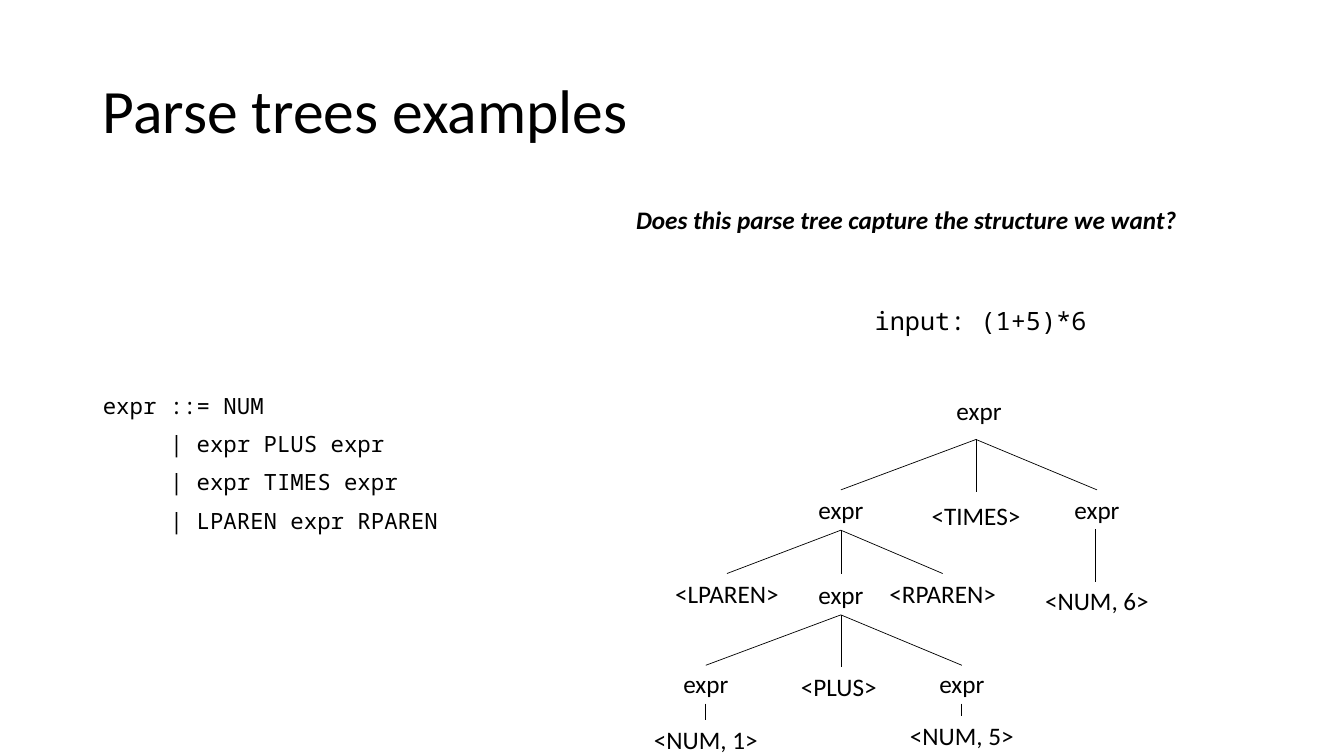
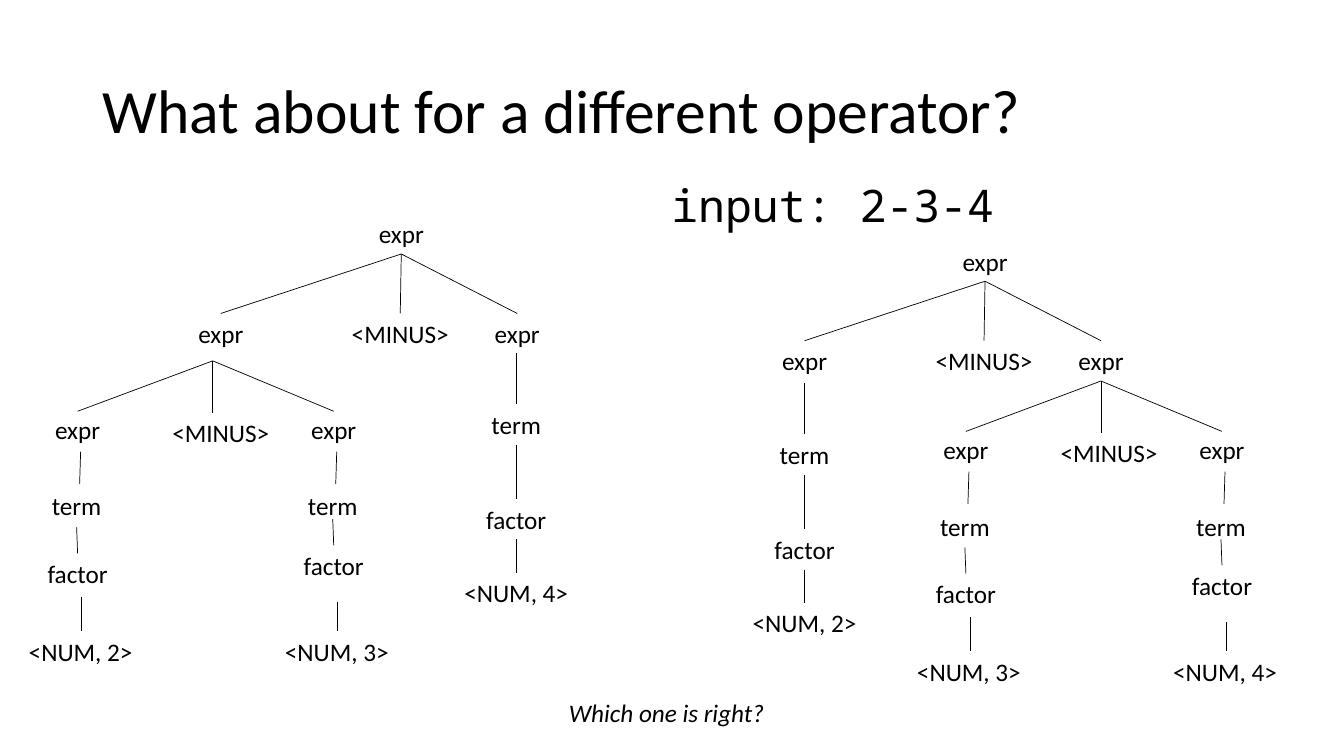
import collections

import lxml.etree
import pptx
import pptx.dml.color
import pptx.enum.shapes
import pptx.enum.text
import pptx.oxml.ns
import pptx.util

Inches = pptx.util.Inches
Pt = pptx.util.Pt

BLACK = pptx.dml.color.RGBColor(0x00, 0x00, 0x00)
WHITE = pptx.dml.color.RGBColor(0xFF, 0xFF, 0xFF)
TEXT_FONT = "Calibri"
CODE_FONT = "Noto Sans Mono"
TITLE_BOX = (0.92, 0.4, 11.5, 1.45)
LABEL_HEIGHT = 0.4
NUMBER_WIDTH = 1.24
LABEL_WIDTHS = {
    "expr": 0.65, "term": 0.7, "factor": 0.8, "<PLUS>": 0.96,
    "<TIMES>": 1.09, "<MINUS>": 1.17, "<RPAREN>": 1.27,
}
GRAMMAR = (
    "expr ::= NUM",
    "     | expr PLUS expr",
    "     | expr TIMES expr",
    "     | LPAREN expr RPAREN",
)

Child = collections.namedtuple(
    "Child", "text edge_x edge_y label_x label_y")


def style_font(paragraph, size, name=TEXT_FONT, bold=False, italic=False):
    font = paragraph.font
    font.name = name
    font.size = Pt(size)
    font.bold = bold
    font.italic = italic
    font.color.rgb = BLACK


def place(shape, left, top, width, height):
    shape.left, shape.top = Inches(left), Inches(top)
    shape.width, shape.height = Inches(width), Inches(height)


def add_titled_slide(presentation, layout_index, title_text):
    layout = presentation.slide_layouts[layout_index]
    slide = presentation.slides.add_slide(layout)
    slide.background.fill.solid()
    slide.background.fill.fore_color.rgb = WHITE
    title = slide.shapes.title
    place(title, *TITLE_BOX)
    frame = title.text_frame
    frame.text = title_text
    frame.vertical_anchor = pptx.enum.text.MSO_ANCHOR.MIDDLE
    frame.auto_size = pptx.enum.text.MSO_AUTO_SIZE.NONE
    paragraph = frame.paragraphs[0]
    paragraph.alignment = pptx.enum.text.PP_ALIGN.LEFT
    paragraph.line_spacing = 0.9
    style_font(paragraph, 44)
    return slide


def add_text(slide, text, left, top, width, height=LABEL_HEIGHT,
             size=18, **font_style):
    shape = slide.shapes.add_textbox(
        Inches(left), Inches(top), Inches(width), Inches(height))
    frame = shape.text_frame
    frame.word_wrap = False
    frame.text = text
    paragraph = frame.paragraphs[0]
    paragraph.alignment = pptx.enum.text.PP_ALIGN.CENTER
    style_font(paragraph, size, **font_style)


def add_node(slide, text, center, top):
    width = LABEL_WIDTHS.get(text, NUMBER_WIDTH)
    add_text(slide, text, center - width / 2, top, width)


def add_edge(slide, start_x, start_y, end_x, end_y):
    edge = slide.shapes.add_connector(
        pptx.enum.shapes.MSO_CONNECTOR.STRAIGHT,
        Inches(start_x), Inches(start_y), Inches(end_x), Inches(end_y))
    edge.line.color.rgb = BLACK
    edge.line.width = Pt(0.5)
    properties = edge._element.spPr
    lxml.etree.SubElement(properties, pptx.oxml.ns.qn("a:effectLst"))


def add_fan(slide, left, top, children):
    for child in children:
        add_edge(slide, left, top, left + child.edge_x, top + child.edge_y)
        add_node(slide, child.text, left + child.label_x, top + child.label_y)


def operator_fan(operator, operator_x=0, operator_y=0.51, expression_y=0.48):
    return (
        Child("expr", -1.34, 0.5, -1.34, expression_y),
        Child(operator, 0, 0.52, operator_x, operator_y),
        Child("expr", 1.2, 0.5, 1.2, expression_y),
    )


def add_grammar(slide, left, top, width, height):
    body = slide.placeholders[1]
    place(body, left, top, width, height)
    frame = body.text_frame
    frame.text = "\n".join(GRAMMAR)
    frame.auto_size = pptx.enum.text.MSO_AUTO_SIZE.NONE
    for index, paragraph in enumerate(frame.paragraphs):
        properties = paragraph._p.get_or_add_pPr()
        properties.set("marL", "0")
        properties.set("indent", "0")
        lxml.etree.SubElement(properties, pptx.oxml.ns.qn("a:buNone"))
        paragraph.line_spacing = 0.9
        paragraph.space_before = Pt(10 if index else 0)
        style_font(paragraph, 16, CODE_FONT)


def add_product_tree(slide, left, top):
    add_node(slide, "expr", left + 0.03, top)
    add_fan(slide, left, top + 0.49,
            operator_fan("<TIMES>", operator_y=0.55, expression_y=0.5))
    add_edge(slide, left + 1.18, top + 1.38, left + 1.18, top + 1.9)
    add_node(slide, "<NUM, 6>", left + 1.2, top + 1.89)

    inner = left - 1.34
    add_fan(slide, inner, top + 1.39, (
        Child("<LPAREN>", -1.13, 0.43, -1.13, 0.43),
        Child("expr", 0, 0.43, 0, 0.44),
        Child("<RPAREN>", 1.01, 0.43, 1.01, 0.43),
    ))
    add_fan(slide, inner, top + 2.23, operator_fan("<PLUS>", -0.02))
    for number, offset, leaf_top in (("1", -1.34, 3.27), ("5", 1.2, 3.23)):
        center = inner + offset
        add_edge(slide, center, top + 3.11, center, top + leaf_top)
        add_node(slide, f"<NUM, {number}>", center, top + leaf_top)


def add_long_chain(slide, center, top, number):
    for text, start, end in (("term", 0, 0.51), ("factor", 0.91, 1.45),
                             (f"<NUM, {number}>", 1.85, 2.18)):
        add_edge(slide, center, top + start, center, top + end)
        add_node(slide, text, center, top + end)


def add_short_chain(slide, center, top, number, factor_top, stem_top):
    add_edge(slide, center + 0.03, top + 0.42, center + 0.02, top + 0.74)
    add_node(slide, "term", center - 0.01, top + 0.76)
    add_edge(slide, center - 0.01, top + factor_top - 0.26,
             center, top + factor_top)
    add_node(slide, "factor", center, top + factor_top)
    add_edge(slide, center + 0.04, top + stem_top, center + 0.04, top + 2.2)
    add_node(slide, f"<NUM, {number}>", center + 0.03, top + 2.2)


def add_difference_root(slide, left, top):
    add_node(slide, "expr", left, top)
    add_fan(slide, left, top + 0.4, (
        Child("expr", -1.79, 0.59, -1.79, 0.59),
        Child("<MINUS>", -0.01, 0.59, -0.01, 0.59),
        Child("expr", 1.15, 0.59, 1.15, 0.59),
    ))


def add_difference_subtree(slide, left, top, first, second):
    add_fan(slide, left, top, operator_fan("<MINUS>", 0.08))
    add_short_chain(slide, left - 1.34, top + 0.48, first, 1.43, 1.86)
    add_short_chain(slide, left + 1.2, top + 0.48, second, 1.35, 1.91)


def add_left_associative_tree(slide, left, top):
    add_difference_root(slide, left, top)
    add_difference_subtree(slide, left - 1.87, top + 1.46, "2", "3")
    add_long_chain(slide, left + 1.14, top + 1.38, "4")


def add_right_associative_tree(slide, left, top):
    add_difference_root(slide, left, top)
    add_long_chain(slide, left - 1.79, top + 1.41, "2")
    add_difference_subtree(slide, left + 1.15, top + 1.39, "3", "4")


def build_parse_tree_slide(presentation):
    slide = add_titled_slide(presentation, 1, "Parse trees examples")
    add_grammar(slide, 0.92, 3.87, 4.12, 1.73)
    add_text(slide, "Does this parse tree capture the structure we want?",
             6.18, 1.98, 5.62, bold=True, italic=True)
    add_text(slide, "input: (1+5)*6", 8.57, 2.98, 2.31, name=CODE_FONT)
    add_product_tree(slide, 9.68, 3.87)


def build_operator_slide(presentation):
    slide = add_titled_slide(
        presentation, 5, "What about for a different operator?")
    add_text(slide, "input: 2-3-4", 6.54, 1.71, 3.44, 0.64,
             size=32, name=CODE_FONT)
    add_left_associative_tree(slide, 3.98, 2.12)
    add_right_associative_tree(slide, 9.77, 2.39)
    add_text(slide, "Which one is right?", 5.52, 6.87, 2.18, italic=True)


def main():
    presentation = pptx.Presentation()
    presentation.slide_width = Inches(13.33)
    presentation.slide_height = Inches(7.5)
    build_parse_tree_slide(presentation)
    build_operator_slide(presentation)
    presentation.save("out.pptx")


if __name__ == "__main__":
    main()
